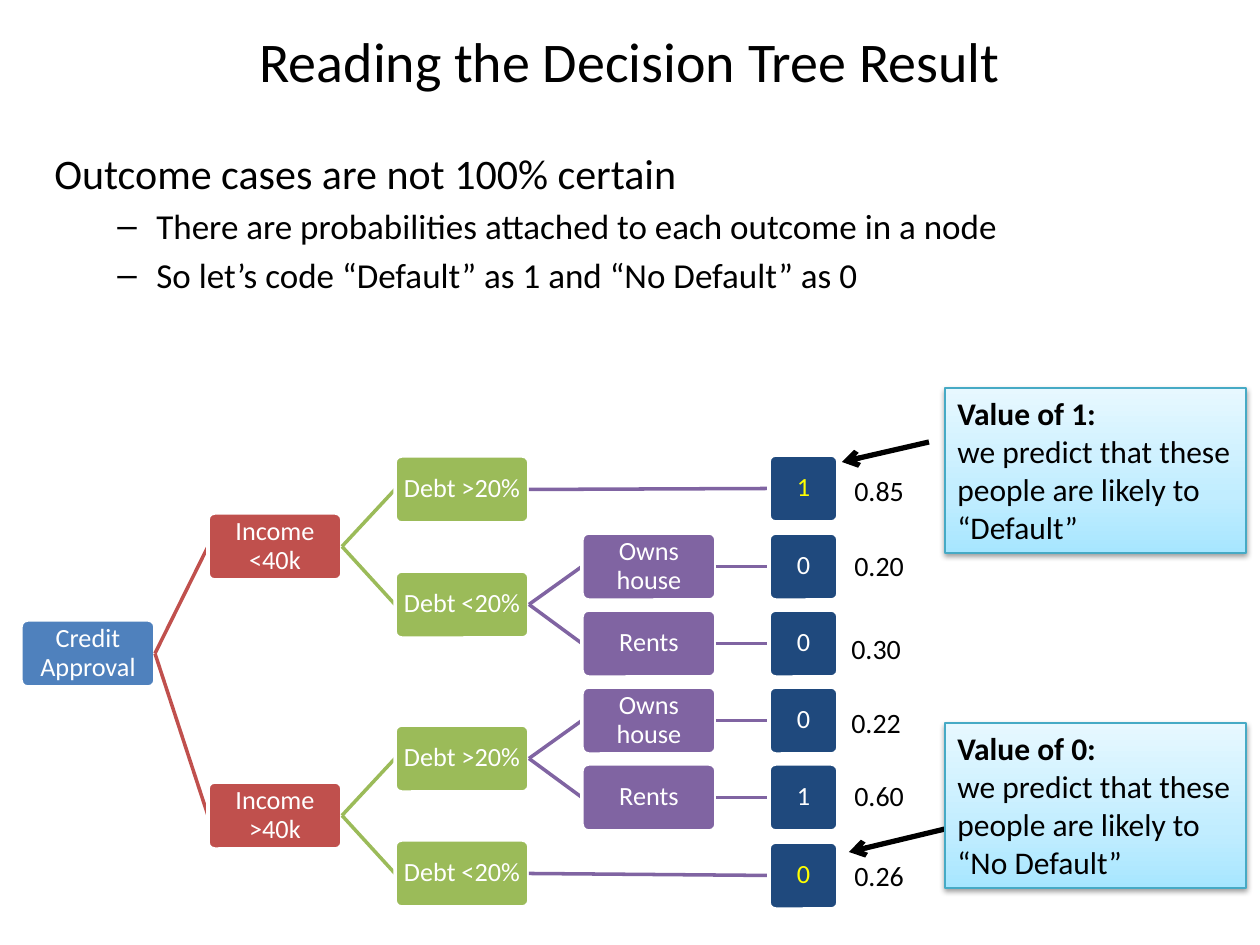
import copy
import lxml.etree
import pptx
import pptx.util
import pptx.dml.color
import pptx.enum.shapes
import pptx.enum.text
import pptx.oxml.ns

PX = 914400 / 126
FONT = "Calibri"
COLORS = {
    "root": "4F81BD", "income": "C0504D", "debt": "9BBB59", "housing": "8064A2",
    "outcome": "1F497D", "white": "FFFFFF", "black": "000000", "highlight": "FFFF00",
    "callout_edge": "46AAC5",
}
CALLOUT_STOPS = [(0, "A7E6FF"), (0.35, "C1EDFF"), (1, "E7F8FF")]
RGB = {name: pptx.dml.color.RGBColor.from_string(value) for name, value in COLORS.items()}
ALIGN = pptx.enum.text.PP_ALIGN
MIDDLE = pptx.enum.text.MSO_ANCHOR.MIDDLE
SHAPES = pptx.enum.shapes.MSO_SHAPE
qn = pptx.oxml.ns.qn

deck = pptx.Presentation()
deck.slide_width = round(1260 * PX)
deck.slide_height = round(945 * PX)
slide = deck.slides.add_slide(deck.slide_layouts[6])


def write(frame, lines, size, color="black", align=ALIGN.LEFT):
    frame.word_wrap = True
    for index, line in enumerate(lines):
        paragraph = frame.paragraphs[0] if index == 0 else frame.add_paragraph()
        paragraph.text = line
        paragraph.alignment = align
        paragraph.font.name = FONT
        paragraph.font.size = pptx.util.Pt(size)
        paragraph.font.color.rgb = RGB[color]


def connect(points, color, width):
    link = slide.shapes.add_connector(
        pptx.enum.shapes.MSO_CONNECTOR.STRAIGHT, *[round(v * PX) for v in points])
    link.line.color.rgb = RGB[color]
    link.line.width = pptx.util.Pt(width)
    lxml.etree.SubElement(link.element.spPr, qn("a:effectLst"))
    return link


title = slide.shapes.add_textbox(*[round(v * PX) for v in (63, -10, 1134, 141)])
title.text_frame.vertical_anchor = MIDDLE
write(title.text_frame, ["Reading the Decision Tree Result"], 32, align=ALIGN.CENTER)

body = slide.shapes.add_textbox(*[round(v * PX) for v in (42, 141, 1134, 300)])
write(body.text_frame, ["Outcome cases are not 100% certain"], 24)
for point in ("There are probabilities attached to each outcome in a node",
              "So let’s code “Default” as 1 and “No Default” as 0"):
    paragraph = body.text_frame.add_paragraph()
    paragraph.text = point
    paragraph.level = 1
    paragraph.space_before = pptx.util.Pt(4)
    properties = paragraph._p.get_or_add_pPr()
    properties.set("marL", str(round(102 * PX)))
    properties.set("indent", str(round(-39 * PX)))
    lxml.etree.SubElement(properties, qn("a:buFont"), typeface="Arial")
    lxml.etree.SubElement(properties, qn("a:buChar"), char="–")
    paragraph.font.name = FONT
    paragraph.font.size = pptx.util.Pt(20)
    paragraph.font.color.rgb = RGB["black"]

LEVELS = ["root", "income", "debt", "housing", "outcome"]
NODE_WIDTH, OUTCOME_WIDTH, NODE_HEIGHT = 134, 69, 67
LEFT, LEVEL_STEP = 21, 187
tree = [
    (0, 620, "Credit\vApproval", "white"),
    (1, 513, "Income <40k", "white"),
    (2, 456, "Debt >20%", "white"),
    (4, 455, "1", "highlight"),
    (2, 571, "Debt <20%", "white"),
    (3, 533, "Owns house", "white"),
    (4, 533, "0", "white"),
    (3, 610, "Rents", "white"),
    (4, 610, "0", "white"),
    (1, 782, "Income >40k", "white"),
    (2, 725, "Debt >20%", "white"),
    (3, 687, "Owns house", "white"),
    (4, 687, "0", "white"),
    (3, 764, "Rents", "white"),
    (4, 764, "1", "white"),
    (2, 840, "Debt <20%", "white"),
    (4, 842, "0", "highlight"),
]
ancestors = []
for level, top, label, label_color in tree:
    left = LEFT + level * LEVEL_STEP
    middle = top + NODE_HEIGHT / 2
    while ancestors and ancestors[-1][0] >= level:
        ancestors.pop()
    if ancestors:
        parent_level, parent_middle = ancestors[-1]
        parent_right = LEFT + parent_level * LEVEL_STEP + NODE_WIDTH
        connect((parent_right, parent_middle, left, middle), LEVELS[min(level, 3)], 2)
    ancestors.append((level, middle))
    width = OUTCOME_WIDTH if level == 4 else NODE_WIDTH
    node = slide.shapes.add_shape(
        SHAPES.ROUNDED_RECTANGLE, *[round(v * PX) for v in (left, top, width, NODE_HEIGHT)])
    node.adjustments[0] = 0.1
    node.shadow.inherit = False
    node.fill.solid()
    node.fill.fore_color.rgb = RGB[LEVELS[level]]
    node.line.color.rgb = RGB["white"]
    node.line.width = pptx.util.Pt(2)
    frame = node.text_frame
    frame.margin_left = frame.margin_right = frame.margin_top = frame.margin_bottom = round(PX)
    frame.vertical_anchor = MIDDLE
    write(frame, [label], 15, label_color, ALIGN.CENTER)
    frame.paragraphs[0].line_spacing = 0.9

for left, top, probability in [(842, 467, "0.85"), (842, 542, "0.20"), (839, 625, "0.30"),
                               (839, 699, "0.22"), (842, 772, "0.60"), (842, 852, "0.26")]:
    chance = slide.shapes.add_textbox(*[round(v * PX) for v in (left, top, 76, 47)])
    write(chance.text_frame, [probability], 16)
    chance.text_frame.word_wrap = False

callouts = [
    (388, (929, 442, 842, 462),
     ["Value of 1:", "we predict that these people are likely to", "“Default”"]),
    (723, (945, 829, 849, 852),
     ["Value of 0:", "we predict that these people are likely to “No Default”"]),
]
for top, arrow_points, lines in callouts:
    arrow = connect(arrow_points, "black", 3)
    lxml.etree.SubElement(arrow.element.spPr.find(qn("a:ln")), qn("a:tailEnd"), type="arrow")

    callout = slide.shapes.add_shape(
        SHAPES.RECTANGLE, *[round(v * PX) for v in (945, top, 301, 165)])
    callout.fill.gradient()
    callout.fill.gradient_angle = 90
    stop_list = callout.element.spPr.find(".//" + qn("a:gsLst"))
    stop_list.insert(1, copy.deepcopy(stop_list[0]))
    for stop, (position, color) in zip(callout.fill.gradient_stops, CALLOUT_STOPS):
        stop.position = position
        stop.color.rgb = pptx.dml.color.RGBColor.from_string(color)
    callout.line.color.rgb = RGB["callout_edge"]
    callout.line.width = pptx.util.Pt(0.75)
    callout.shadow.inherit = False
    shadow = lxml.etree.SubElement(
        callout.element.spPr.find(qn("a:effectLst")), qn("a:outerShdw"),
        blurRad="40000", dist="20000", dir="5400000", rotWithShape="0")
    shade = lxml.etree.SubElement(shadow, qn("a:srgbClr"), val=COLORS["black"])
    lxml.etree.SubElement(shade, qn("a:alpha"), val="38000")
    callout.text_frame.vertical_anchor = pptx.enum.text.MSO_ANCHOR.TOP
    write(callout.text_frame, lines, 18)
    callout.text_frame.paragraphs[0].font.bold = True

deck.save("out.pptx")
